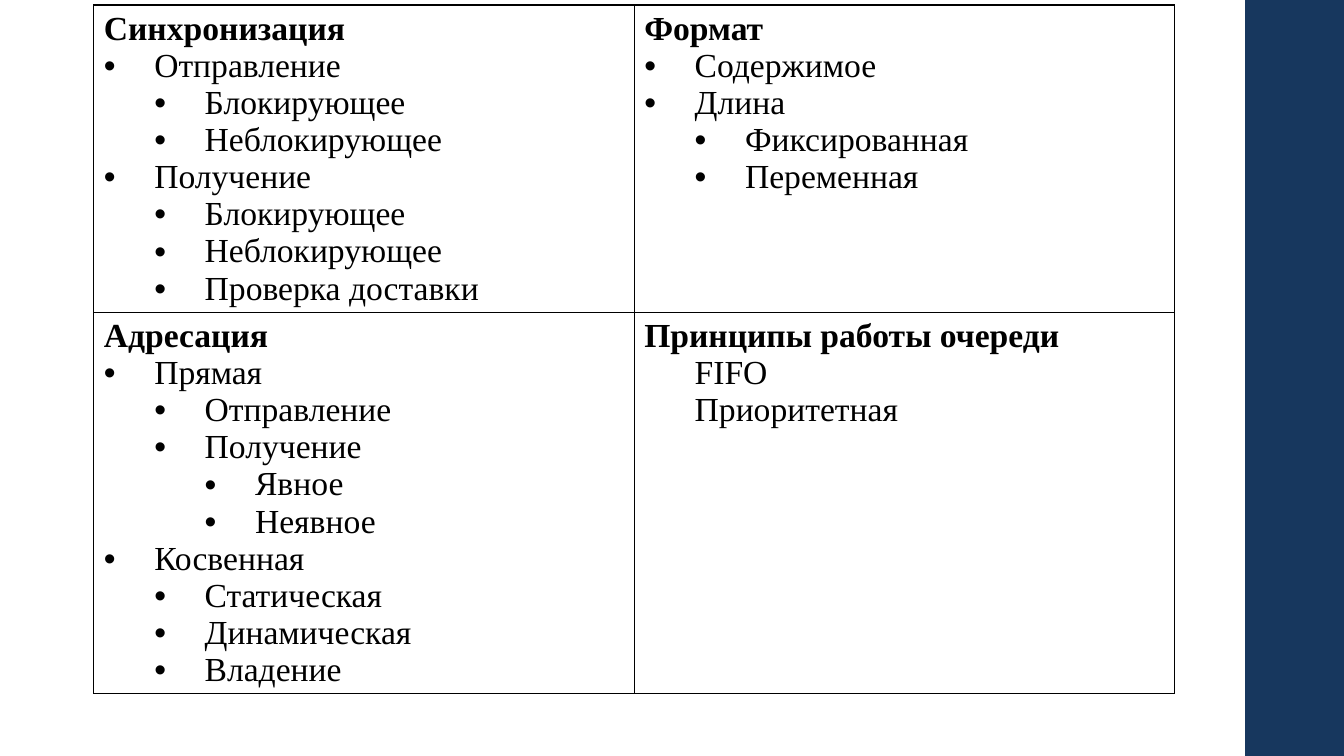
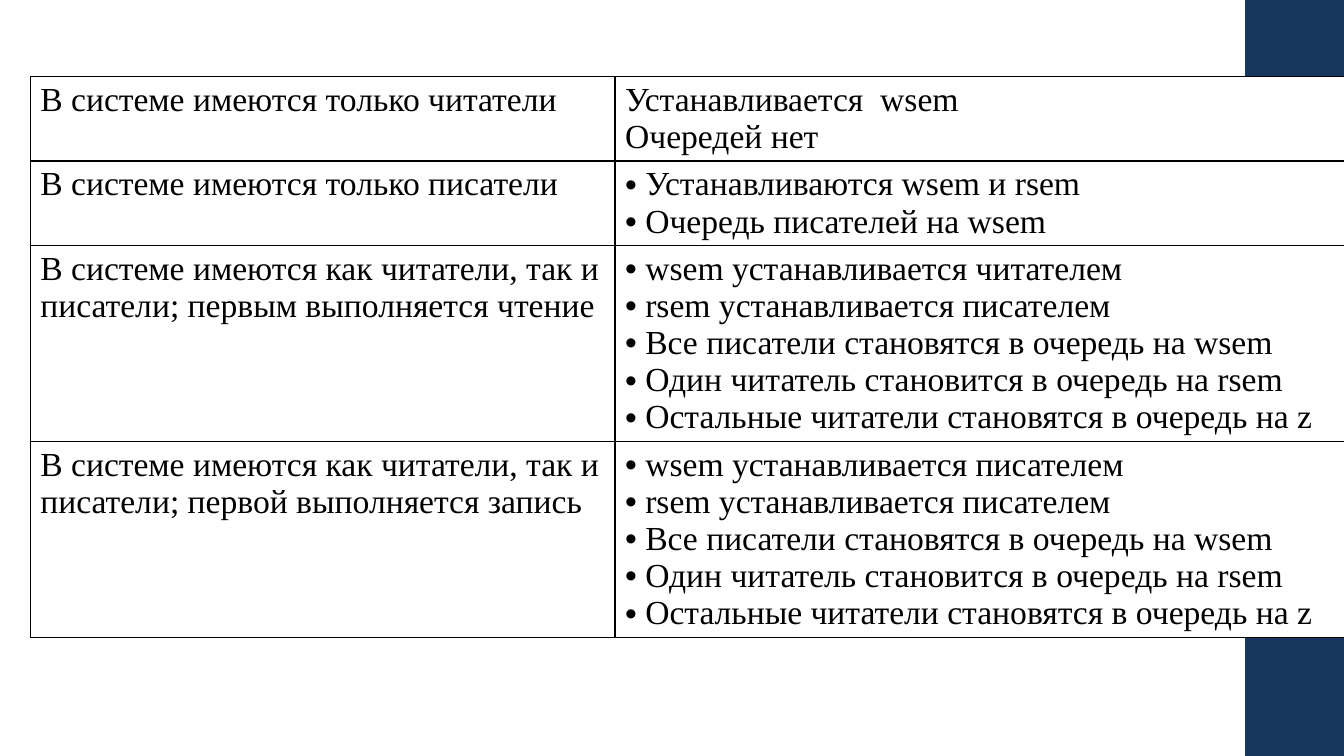
from collections import namedtuple

from lxml import etree
from pptx import Presentation
from pptx import util as u
from pptx.dml.color import RGBColor
from pptx.enum import shapes
from pptx.oxml.ns import qn

COLORS = {"band": "17375E", "ink": "000000", "paper": "FFFFFF"}
FONT = "Times New Roman"
SIZE = u.Pt(24)
LINE_HEIGHT = u.Pt(26.5)
CELL_PADDING = u.Inches(0.1)
DEEP_INDENT = 0.5
SHORT_INDENT = 0.2

Line = namedtuple("Line", "text level bullet bold", defaults=(0, False, False))


def heading(text):
    """Return the bold first line of a cell."""
    return Line(text, bold=True)


def bullet(text, level=1):
    """Return a bulleted line at the given depth."""
    return Line(text, level, bullet=True)


def plain(text, level=0):
    """Return a line without a bullet."""
    return Line(text, level)


def queue_rules(first):
    """Return the rules that hold when readers and writers are mixed."""
    return [
        bullet(f"wsem устанавливается {first}"),
        bullet("rsem устанавливается писателем"),
        bullet("Все писатели становятся в очередь на wsem"),
        bullet("Один читатель становится в очередь на rsem"),
        bullet("Остальные читатели становятся в очередь на z"),
    ]


MESSAGE_ROWS = [
    [
        [
            heading("Синхронизация"),
            bullet("Отправление"),
            bullet("Блокирующее", 2),
            bullet("Неблокирующее", 2),
            bullet("Получение"),
            bullet("Блокирующее", 2),
            bullet("Неблокирующее", 2),
            bullet("Проверка доставки", 2),
        ],
        [
            heading("Формат"),
            bullet("Содержимое"),
            bullet("Длина"),
            bullet("Фиксированная", 2),
            bullet("Переменная", 2),
        ],
    ],
    [
        [
            heading("Адресация"),
            bullet("Прямая"),
            bullet("Отправление", 2),
            bullet("Получение", 2),
            bullet("Явное", 3),
            bullet("Неявное", 3),
            bullet("Косвенная"),
            bullet("Статическая", 2),
            bullet("Динамическая", 2),
            bullet("Владение", 2),
        ],
        [
            heading("Принципы работы очереди"),
            plain("FIFO", 1),
            plain("Приоритетная", 1),
        ],
    ],
]

SEMAPHORE_ROWS = [
    [
        [plain("В системе имеются только читатели")],
        [plain("Устанавливается  wsem"), plain("Очередей нет")],
    ],
    [
        [plain("В системе имеются только писатели")],
        [bullet("Устанавливаются wsem и rsem"), bullet("Очередь писателей на wsem")],
    ],
    [
        [plain("В системе имеются как читатели, так и писатели; первым выполняется чтение")],
        queue_rules("читателем"),
    ],
    [
        [plain("В системе имеются как читатели, так и писатели; первой выполняется запись")],
        queue_rules("писателем"),
    ],
]


def color(name):
    """Look up a named colour."""
    return RGBColor.from_string(COLORS[name])


def add_band(deck, layout):
    """Put the side band on the layout that all slides share."""
    left = u.Inches(12.35)
    slide = deck.slides[0]
    band = slide.shapes.add_shape(
        shapes.MSO_SHAPE.RECTANGLE, left, 0, deck.slide_width - left, deck.slide_height
    )
    band.shadow.inherit = False
    band.fill.solid()
    band.fill.fore_color.rgb = color("band")
    band.line.fill.background()
    layout.shapes.element.append(band.element)


def write_line(para, text, *, level=0, bullet=False, bold=False, indent=DEEP_INDENT):
    """Write one line of a cell with its indent and bullet."""
    span = para.add_run()
    span.text = text
    span.font.name = FONT
    span.font.size = SIZE
    span.font.bold = bold
    span.font.color.rgb = color("ink")
    para.level = max(level - 1, 0)
    props = para._p.get_or_add_pPr()
    props.set("marL", str(u.Inches(level * indent)))
    props.set("indent", str(u.Inches(-indent if bullet else 0)))
    if bullet:
        etree.SubElement(props, qn("a:buFont"), typeface="Arial")
        etree.SubElement(props, qn("a:buChar"), char="•")
    else:
        etree.SubElement(props, qn("a:buNone"))


def add_borders(cell):
    """Draw a thin line on every side of a cell."""
    props = cell._tc.get_or_add_tcPr()
    for side in ("lnL", "lnR", "lnT", "lnB"):
        line = etree.SubElement(props, qn(f"a:{side}"), w=str(u.Pt(1)))
        fill = etree.SubElement(line, qn("a:solidFill"))
        etree.SubElement(fill, qn("a:srgbClr"), val=COLORS["ink"])


def fill_cell(cell, lines, indent, paper):
    """Format a cell and write its lines."""
    add_borders(cell)
    if paper:
        cell.fill.solid()
        cell.fill.fore_color.rgb = color(paper)
    else:
        cell.fill.background()
    frame = cell.text_frame
    for index, line in enumerate(lines):
        para = frame.add_paragraph() if index else frame.paragraphs[0]
        write_line(para, **line._asdict(), indent=indent)


def add_table_slide(deck, layout, rows, *, left, top, widths, indent, paper=None):
    """Add a slide with one table whose rows fit their longest cell."""
    slide = deck.slides.add_slide(layout)
    heights = [max(map(len, row)) * LINE_HEIGHT + CELL_PADDING for row in rows]
    table = slide.shapes.add_table(
        len(rows), len(widths), u.Inches(left), u.Inches(top),
        u.Inches(sum(widths)), sum(heights),
    ).table
    table.first_row = table.horz_banding = False
    for column, width in zip(table.columns, widths):
        column.width = u.Inches(width)
    for table_row, height, row in zip(table.rows, heights, rows):
        table_row.height = height
        for cell, lines in zip(table_row.cells, row):
            fill_cell(cell, lines, indent, paper)


def main():
    """Build and save the deck."""
    deck = Presentation()
    deck.slide_width, deck.slide_height = u.Inches(13.33), u.Inches(7.5)
    layout = deck.slide_layouts[6]
    add_table_slide(
        deck, layout, MESSAGE_ROWS,
        left=0.93, top=0.05, widths=(5.36, 5.36), indent=DEEP_INDENT,
    )
    add_table_slide(
        deck, layout, SEMAPHORE_ROWS,
        left=0.3, top=0.76, widths=(5.8, 7.24), indent=SHORT_INDENT, paper="paper",
    )
    add_band(deck, layout)
    deck.save("out.pptx")


if __name__ == "__main__":
    main()
